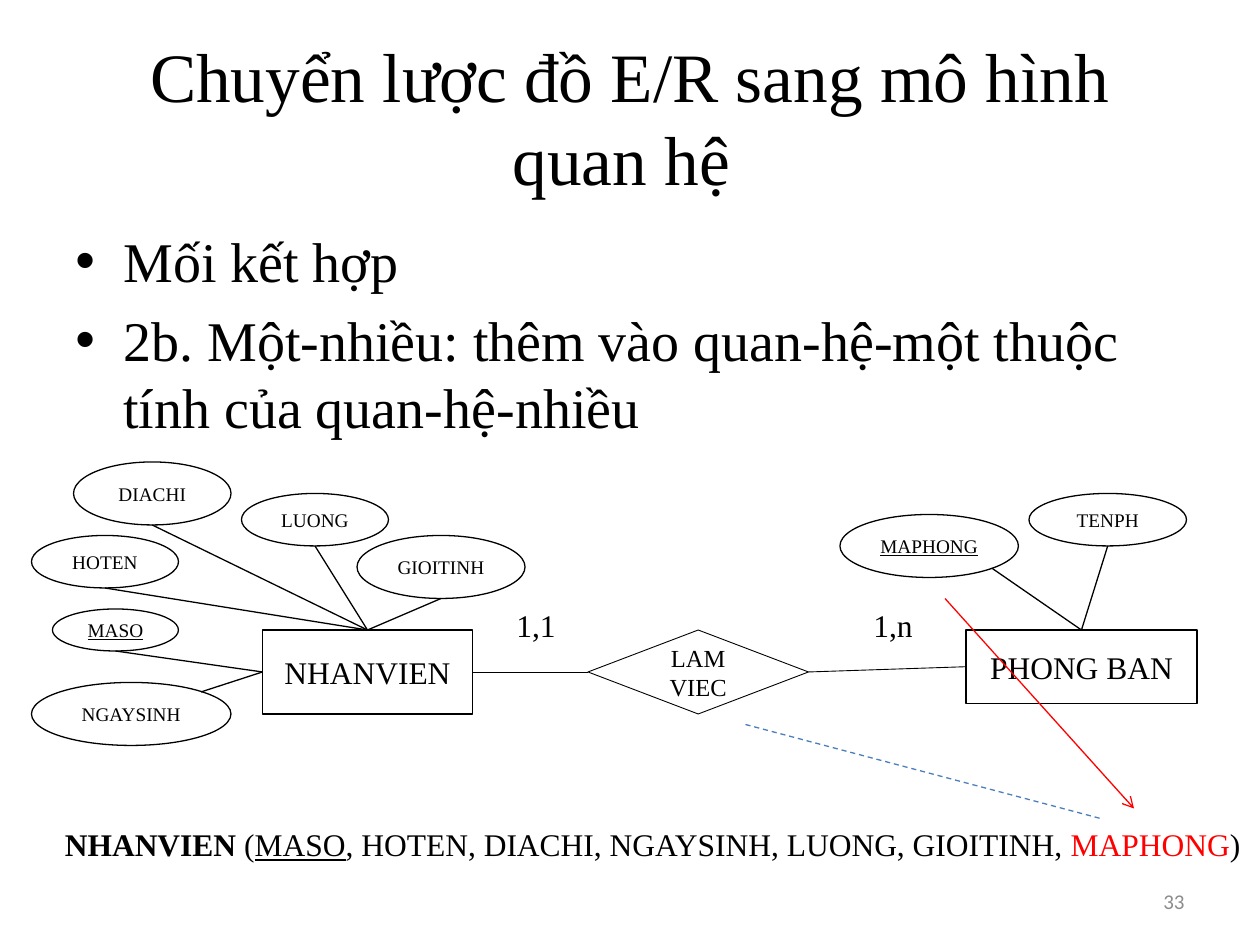
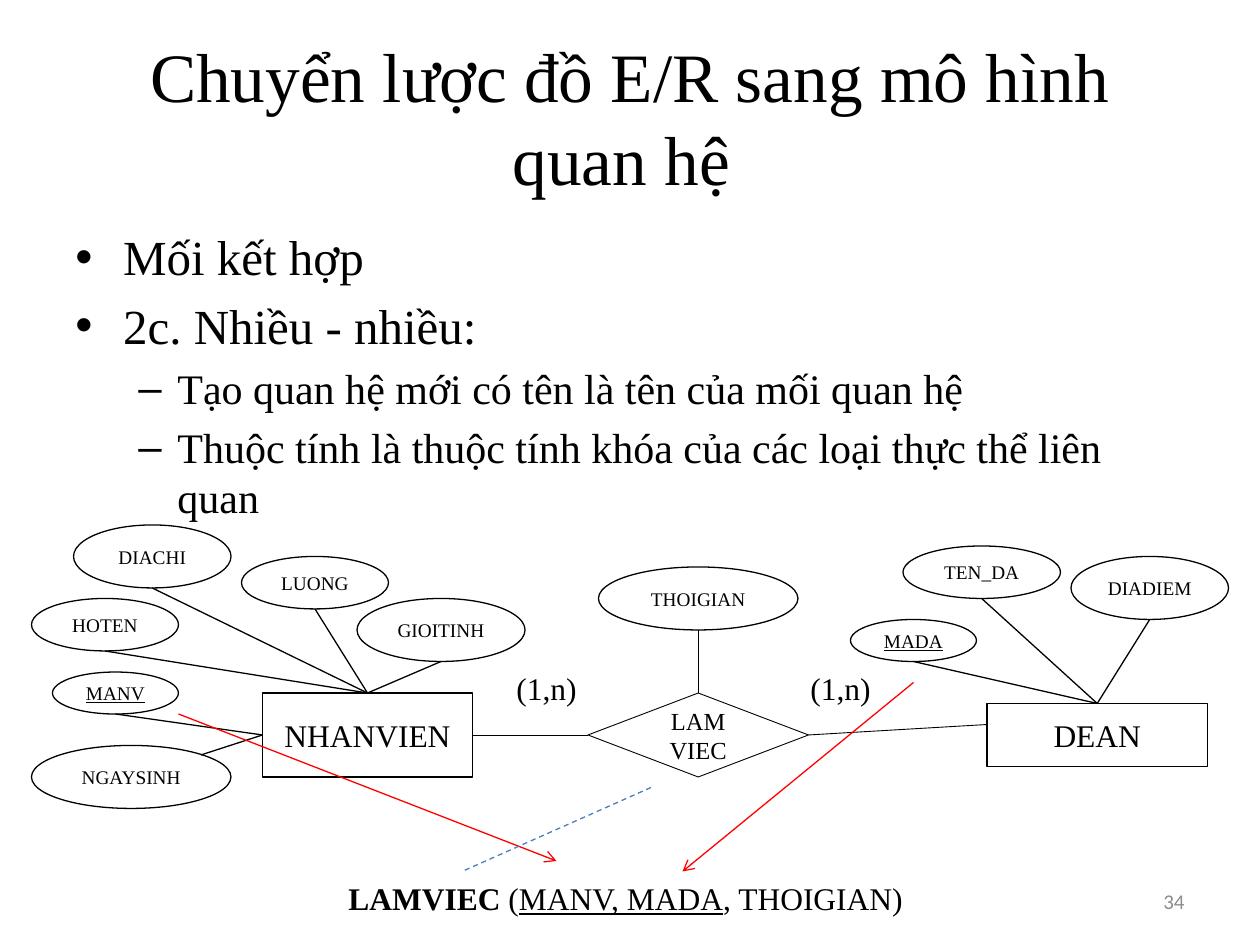
from lxml import etree
from pptx import Presentation
from pptx import util as u
from pptx.dml.color import RGBColor
from pptx.enum import dml, shapes, text
from pptx.oxml.ns import qn

COLS, ROWS = 120, 90
CELL = u.Inches(10) // COLS
COLORS = {"ink": "000000", "key": "FF0000", "trace": "4B7EBC", "number": "8C8C8C"}
SERIF, SANS = "Times New Roman", "Calibri"
TOP, LEFT, BOTTOM, RIGHT = range(4)
EXITS = {"bottom": (0.5, 1), "lower right": (0.85, 0.85), "upper right": (0.85, 0.15)}
BULLETS = [("•", 0.38, 0.38), ("–", 0.81, 0.31)]

TITLE = "Chuyển lược đồ E/R sang mô hình quan hệ "
RELATION = ("LAM", "VIEC")
RELATION_BOX = (56, 0, 21, 8)


def employee(key):
    return {
        "name": "NHANVIEN", "box": (25, 0, 20, 8),
        "attributes": [
            (key, (5, -2, 12, 4), "bottom", LEFT, True),
            ("HOTEN", (3, -9, 14, 5), "bottom", TOP, False),
            ("DIACHI", (7, -16, 15, 6), "bottom", TOP, False),
            ("LUONG", (23, -13, 14, 5), "bottom", TOP, False),
            ("GIOITINH", (34, -9, 16, 6), "bottom", TOP, False),
            ("NGAYSINH", (3, 5, 19, 6), "upper right", LEFT, False),
        ],
    }


SLIDES = [
    {
        "number": "33", "row": 60,
        "points": [
            (0, 32, "Mối kết hợp"),
            (0, 32, "2b. Một-nhiều: thêm vào quan-hệ-một thuộc tính của quan-hệ-nhiều"),
        ],
        "left": employee("MASO"),
        "right": {
            "name": "PHONG BAN", "box": (92, 0, 22, 7),
            "attributes": [
                ("MAPHONG", (80, -11, 17, 6), "lower right", TOP, True),
                ("TENPH", (98, -13, 15, 5), "bottom", TOP, False),
            ],
        },
        "right_link": None,
        "relation_attributes": [],
        "cardinalities": [("1,1", 48), ("1,n", 82)],
        "schema": (5, 78, 114.5, [
            ("NHANVIEN", "bold"), (" (", ""), ("MASO", "underline"),
            (", HOTEN, DIACHI, NGAYSINH, LUONG, GIOITINH, ", ""),
            ("MAPHONG", "key"), (")", "")]),
        "key_arrows": [((90, 57), (108, 77))],
        "trace": ((71, 69), (105, 78)),
    },
    {
        "number": "34", "row": 66,
        "points": [
            (0, 28, "Mối kết hợp"),
            (0, 28, "2c. Nhiều - nhiều:"),
            (1, 24, "Tạo quan hệ mới có tên là tên của mối quan hệ"),
            (1, 24, "Thuộc tính là thuộc tính khóa của các loại thực thể liên quan"),
        ],
        "left": employee("MANV"),
        "right": {
            "name": "DEAN", "box": (94, 1, 21, 6),
            "attributes": [
                ("MADA", (81, -7, 12, 4), "bottom", TOP, True),
                ("TEN_DA", (86, -14, 15, 5), "bottom", TOP, False),
                ("DIADIEM", (102, -13, 15, 6), "bottom", TOP, False),
            ],
        },
        "right_link": (94, 69),
        "relation_attributes": [("THOIGIAN", (57, -12, 19, 6), "bottom", TOP, False)],
        "cardinalities": [("(1,n)", 48), ("(1,n)", 76)],
        "schema": (32, 83.1, 55.8, [
            ("LAMVIEC", "bold"), (" (", ""), ("MANV, MADA", "underline"), (", THOIGIAN)", "")]),
        "key_arrows": [((17, 68), (53, 82)), ((87, 65), (65, 83))],
        "trace": ((62, 75), (44, 83)),
    },
]


def grid(*cells):
    return [round(cell * CELL) for cell in cells]


def rgb(name):
    return RGBColor.from_string(COLORS[name])


def style(paragraph, size, color="ink", face=SERIF, align=None):
    paragraph.alignment = align
    font = paragraph.font
    font.size, font.name = u.Pt(size), face
    font.color.rgb = rgb(color)


def add_text(slide, box, words, size, color="ink", face=SERIF, align=None, middle=True):
    area = slide.shapes.add_textbox(*grid(*box))
    frame = area.text_frame
    frame.word_wrap = True
    if middle:
        frame.vertical_anchor = text.MSO_ANCHOR.MIDDLE
    frame.text = words
    style(frame.paragraphs[0], size, color, face, align)
    return frame


def add_points(slide, points):
    frame = add_text(slide, (6, 21, 108, 59.4), "", points[0][1], middle=False)
    for index, (level, size, words) in enumerate(points):
        paragraph = frame.paragraphs[0] if index == 0 else frame.add_paragraph()
        mark, margin, hanging = BULLETS[level]
        paragraph.text = words
        paragraph.level = level
        if index:
            paragraph.space_before = u.Pt(size * 0.2)
        properties = paragraph._p.get_or_add_pPr()
        properties.set("marL", str(u.Inches(margin)))
        properties.set("indent", str(-u.Inches(hanging)))
        for old in properties.findall(qn("a:defRPr")):
            properties.remove(old)
        etree.SubElement(properties, qn("a:buFont")).set("typeface", "Arial")
        etree.SubElement(properties, qn("a:buChar")).set("char", mark)
        style(paragraph, size)


def add_node(slide, kind, box, row, lines, size, weight, underline=False):
    column, offset, width, height = box
    node = slide.shapes.add_shape(kind, *grid(column, row + offset, width, height))
    node.shadow.inherit = False
    node.fill.background()
    node.line.color.rgb = rgb("ink")
    node.line.width = u.Pt(weight)
    frame = node.text_frame
    frame.word_wrap = True
    frame.vertical_anchor = text.MSO_ANCHOR.MIDDLE
    frame.text = "\n".join(lines)
    for paragraph in frame.paragraphs:
        style(paragraph, size, align=text.PP_ALIGN.CENTER)
        if underline:
            paragraph.font.underline = True
    return node


def add_line(slide, start=(0, 0), end=(0, 0), weight=0.75, color="ink",
             dashed=False, arrow=False, begin_at=None, end_at=None):
    line = slide.shapes.add_connector(
        shapes.MSO_CONNECTOR.STRAIGHT, *grid(*start, *end))
    line.line.color.rgb = rgb(color)
    line.line.width = u.Pt(weight)
    if dashed:
        line.line.dash_style = dml.MSO_LINE.DASH
    if arrow:
        etree.SubElement(line.line._get_or_add_ln(), qn("a:tailEnd")).set("type", "arrow")
    etree.SubElement(line._element.spPr, qn("a:effectLst"))
    if begin_at:
        line.begin_connect(*begin_at)
    if end_at:
        line.end_connect(*end_at)


def add_attributes(slide, owner, attributes, row):
    for name, box, leave, side, is_key in attributes:
        add_node(slide, shapes.MSO_SHAPE.OVAL, box, row, [name], 11, 0.75, is_key)
        column, offset, width, height = box
        across, down = EXITS[leave]
        start = (column + across * width, row + offset + down * height)
        add_line(slide, start, end_at=(owner, side))


def add_entity(slide, entity, row):
    node = add_node(slide, shapes.MSO_SHAPE.RECTANGLE, entity["box"], row, [entity["name"]], 18, 1)
    add_attributes(slide, node, entity["attributes"], row)
    return node


def add_diagram(slide, content):
    row = content["row"]
    right = add_entity(slide, content["right"], row)
    left = add_entity(slide, content["left"], row)
    relation = add_node(slide, shapes.MSO_SHAPE.DIAMOND, RELATION_BOX, row, RELATION, 14, 0.5)
    add_attributes(slide, relation, content["relation_attributes"], row)
    add_line(slide, weight=0.5, begin_at=(relation, LEFT), end_at=(left, RIGHT))
    free_end = content["right_link"]
    add_line(slide, end=free_end or (0, 0), weight=0.5, begin_at=(relation, RIGHT),
             end_at=None if free_end else (right, LEFT))
    for words, column in content["cardinalities"]:
        add_text(slide, (column, row - 2.9, 2.5 + 1.5 * len(words), 4.8), words, 18, middle=False)


def add_schema(slide, schema):
    column, row, width, parts = schema
    frame = add_text(slide, (column, row, width, 4.8), "", 18, middle=False)
    frame.word_wrap = False
    frame.auto_size = text.MSO_AUTO_SIZE.SHAPE_TO_FIT_TEXT
    for words, look in parts:
        run = frame.paragraphs[0].add_run()
        run.text = words
        if look == "bold":
            run.font.bold = True
        elif look == "underline":
            run.font.underline = True
        elif look == "key":
            run.font.color.rgb = rgb("key")


def main():
    deck = Presentation()
    deck.slide_width, deck.slide_height = grid(COLS, ROWS)
    for content in SLIDES:
        slide = deck.slides.add_slide(deck.slide_layouts[6])
        add_text(slide, (6, 3.6, 108, 15), TITLE, 39.6, align=text.PP_ALIGN.CENTER)
        add_points(slide, content["points"])
        add_diagram(slide, content)
        add_schema(slide, content["schema"])
        for start, end in content["key_arrows"]:
            add_line(slide, start, end, color="key", arrow=True)
        add_line(slide, *content["trace"], color="trace", dashed=True)
        add_text(slide, (86, 83.4, 28, 4.8), content["number"], 12, "number", SANS,
                 text.PP_ALIGN.RIGHT)
    deck.save("out.pptx")


if __name__ == "__main__":
    main()
